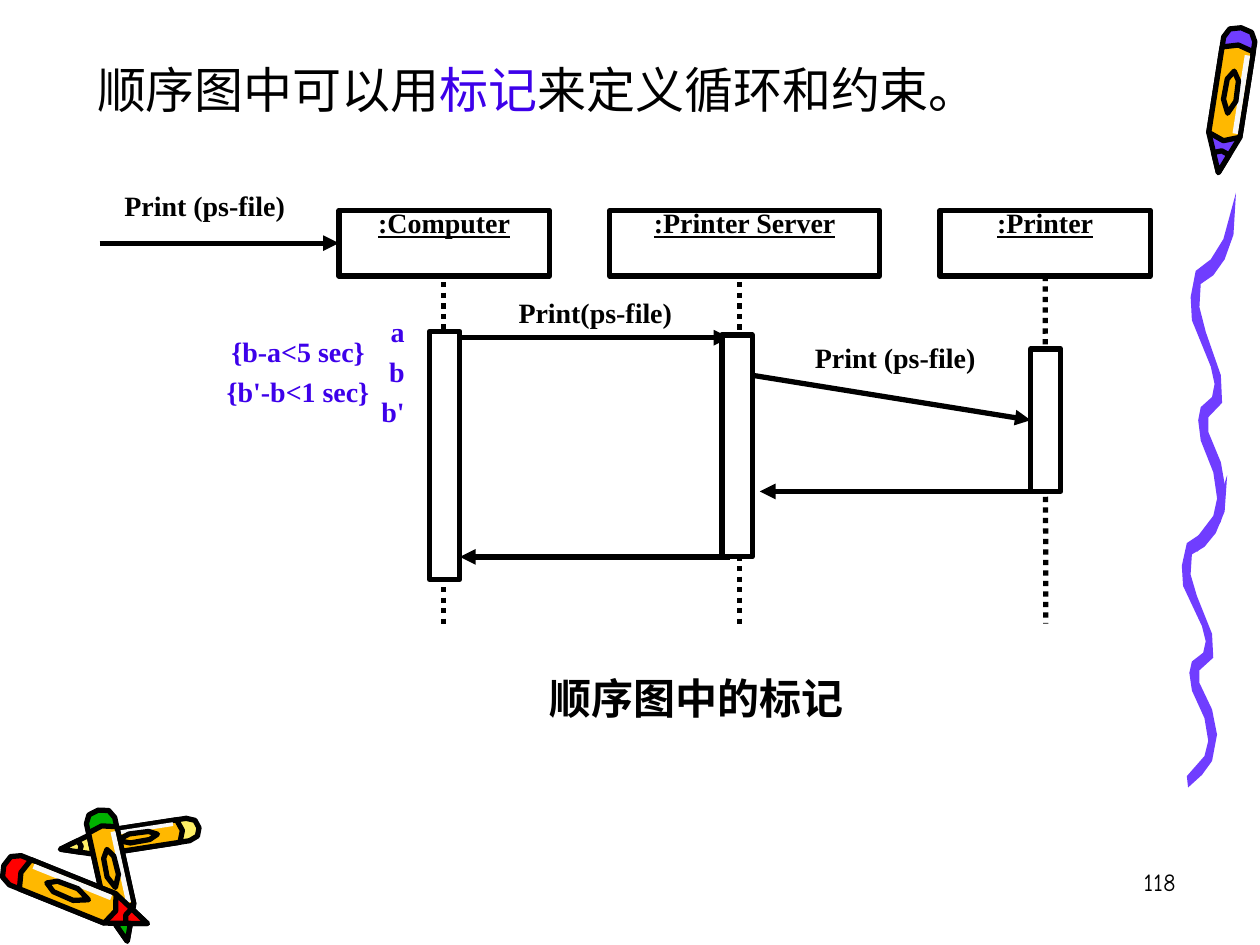
"""Build a slide on marks in a UML sequence diagram."""
import math

import pptx
import pptx.dml.color
import pptx.enum.dml
import pptx.enum.shapes
import pptx.enum.text
import pptx.oxml
import pptx.util
from pptx.util import Inches

ALIGN = pptx.enum.text.PP_ALIGN
ANCHOR = pptx.enum.text.MSO_ANCHOR
BLACK, WHITE, VIOLET = "000000", "FFFFFF", "3D00EA"
GREY, YELLOW, RED, ORANGE, GREEN, PURPLE = "F8F8F8", "FFEF66", "FF0000", "FFB800", "00B200", "703DFF"
DRAWING = "http://schemas.openxmlformats.org/drawingml/2006/main"
LABEL = {"size": pptx.util.Pt(16), "name": "Times New Roman", "bold": True}


def color(value):
    return pptx.dml.color.RGBColor.from_string(value)


def write(shape, lines, formats, ink=BLACK, spacing=0.64, anchor=ANCHOR.TOP):
    frame = shape.text_frame
    frame.word_wrap = True
    frame.vertical_anchor = anchor
    for index, (text, alignment) in enumerate(lines):
        paragraph = frame.add_paragraph() if index else frame.paragraphs[0]
        paragraph.alignment = alignment
        paragraph.line_spacing = spacing
        run = paragraph.add_run()
        run.text = text
        for name, value in formats.items():
            setattr(run.font, name, value)
        run.font.color.rgb = color(ink)


presentation = pptx.Presentation()
presentation.slide_width = Inches(10)
presentation.slide_height = Inches(7.5)
slide = presentation.slides.add_slide(presentation.slide_layouts[1])
title = slide.shapes.title
title.element.getparent().remove(title.element)

# pairs are (share of length from cap to tip, share of width from the axis)
crayon_parts = {
    "case": [(0.02, -0.35), (0, 0), (0.02, 0.35), (0.08, 0.5), (0.74, 0.5), (0.87, 0.25),
             (1, 0), (0.87, -0.25), (0.74, -0.5), (0.08, -0.5)],
    "barrel": [(0.15, -0.5), (0.12, 0), (0.15, 0.5), (0.74, 0.5), (0.78, 0), (0.74, -0.5)],
    "highlight": [(0.18, -0.42), (0.18, -0.25), (0.72, -0.25), (0.72, -0.42)],
    "label": [(0.3, 0), (0.36, 0.18), (0.5, 0.2), (0.59, 0), (0.5, -0.2), (0.36, -0.18)],
    "nib": [(0.87, 0.25), (0.85, 0), (0.87, -0.25), (1, 0)],
}
crayons = [
    (YELLOW, (1.58, 6.57), (0.48, 6.74), -0.18),
    (GREEN, (0.78, 6.43), (1.01, 7.47), 0.23),
    (RED, (0.03, 6.87), (1.17, 7.33), 0.25),
    (PURPLE, (9.85, 0.22), (9.67, 1.37), 0.25),
]
outlines = []
for accent, (cap_x, cap_y), (tip_x, tip_y), width in crayons:
    run_x, run_y = tip_x - cap_x, tip_y - cap_y
    length = math.hypot(run_x, run_y)
    across_x, across_y = -run_y / length * width, run_x / length * width
    fills = {"case": accent, "barrel": ORANGE, "highlight": GREY, "label": ORANGE, "nib": accent}
    for part, pairs in crayon_parts.items():
        points = [(cap_x + along * run_x + across * across_x, cap_y + along * run_y + across * across_y)
                  for along, across in pairs]
        outlines.append((points, fills[part], part != "highlight"))

ribbon_left_edge = [
    (0.36, 0), (0.26, 0.32), (0.16, 0.46), (0.04, 0.54), (0, 0.72), (0.01, 0.88), (0.16, 1.2),
    (0.19, 1.32), (0.17, 1.41), (0.08, 1.48), (0.06, 1.57), (0.08, 1.71), (0.18, 1.93),
    (0.21, 2.11), (0.18, 2.23), (0.04, 2.39), (0.05, 2.48),
]
ribbon_right_edge = [
    (0.16, 2.38), (0.24, 2.27), (0.28, 2.06), (0.24, 1.86), (0.14, 1.65), (0.14, 1.55),
    (0.25, 1.45), (0.24, 1.26), (0.12, 0.96), (0.07, 0.79), (0.08, 0.63), (0.18, 0.57),
    (0.27, 0.46), (0.34, 0.29),
]
for left, top, stretch in ((9.38, 3.77, 1), (9.45, 1.53, 1.15)):
    points = [(left + x, top + y * stretch) for x, y in ribbon_left_edge + ribbon_right_edge]
    outlines.append((points, PURPLE, False))

for points, fill, has_line in outlines:
    corners = [(Inches(x), Inches(y)) for x, y in points]
    builder = slide.shapes.build_freeform(*corners[0])
    builder.add_line_segments(corners[1:], close=True)
    shape = builder.convert_to_shape()
    shape.shadow.inherit = False
    shape.fill.solid()
    shape.fill.fore_color.rgb = color(fill)
    if has_line:
        shape.line.width = pptx.util.Pt(3)
        shape.line.color.rgb = color(BLACK)
    else:
        shape.line.fill.background()

number = slide.shapes.add_textbox(Inches(7.35), Inches(6.83), Inches(2.08), Inches(0.5))
write(number, [("118", ALIGN.RIGHT)], {"size": pptx.util.Pt(14), "name": "Comic Neue"}, spacing=1)

body = slide.placeholders[1]
body.left, body.top, body.width, body.height = Inches(0.42), Inches(0.33), Inches(9.25), Inches(0.92)
body.text_frame.auto_size = pptx.enum.text.MSO_AUTO_SIZE.NONE
paragraph = body.text_frame.paragraphs[0]
properties = paragraph._p.get_or_add_pPr()
properties.set("marL", str(Inches(0.25)))
properties.set("indent", "0")
properties.append(pptx.oxml.parse_xml(f'<a:buNone xmlns:a="{DRAWING}"/>'))
paragraph.line_spacing = 1.2
paragraph.space_before = pptx.util.Pt(0)
for text, ink in (("顺序图中可以用", BLACK), ("标记", VIOLET), ("来定义循环和约束。", BLACK)):
    run = paragraph.add_run()
    run.text = text
    run.font.size = pptx.util.Pt(28)
    run.font.name = "Comic Neue"
    run.font.color.rgb = color(ink)

caption = slide.shapes.add_textbox(Inches(3.86), Inches(5.17), Inches(3.34), Inches(0.79))
write(caption, [("顺序图中的标记", ALIGN.CENTER)], {**LABEL, "size": pptx.util.Pt(24)},
      spacing=0.88, anchor=ANCHOR.MIDDLE)

for text, left, top, width, height, anchor in (
    ("Print (ps-file)", 0.67, 1.53, 1.91, 0.39, ANCHOR.TOP),
    ("Print(ps-file)", 3.89, 2.32, 1.67, 0.39, ANCHOR.MIDDLE),
    ("Print (ps-file)", 6.15, 2.66, 1.91, 0.43, ANCHOR.MIDDLE),
):
    message = slide.shapes.add_textbox(Inches(left), Inches(top), Inches(width), Inches(height))
    write(message, [(text, ALIGN.CENTER)], LABEL, anchor=anchor)

constraints = slide.shapes.add_textbox(Inches(1.42), Inches(2.54), Inches(1.89), Inches(1.21))
write(constraints, [
    ("a", ALIGN.RIGHT), ("{b-a<5 sec}", ALIGN.CENTER), ("b", ALIGN.RIGHT),
    ("{b'-b<1 sec}", ALIGN.CENTER), ("b'", ALIGN.RIGHT),
], LABEL, ink=VIOLET, spacing=0.6)

lines = {}
for name, start_x, start_y, end_x, end_y in (
    ("request", 0.79, 1.93, 2.69, 1.93),
    ("call server", 3.65, 2.68, 5.79, 2.68),
    ("server return", 5.79, 4.42, 3.65, 4.42),
    ("call printer", 5.98, 2.98, 8.19, 3.32),
    ("printer return", 8.18, 3.9, 6.03, 3.9),
    (":Computer", 3.52, 2.24, 3.52, 4.99),
    (":Printer Server", 5.87, 2.24, 5.87, 4.96),
    (":Printer", 8.3, 2.19, 8.3, 4.95),
):
    connector = slide.shapes.add_connector(
        pptx.enum.shapes.MSO_CONNECTOR.STRAIGHT,
        Inches(start_x), Inches(start_y), Inches(end_x), Inches(end_y))
    connector.line.width = pptx.util.Pt(3)
    connector.line.color.rgb = color(BLACK)
    if name.startswith(":"):
        connector.line.dash_style = pptx.enum.dml.MSO_LINE.ROUND_DOT
    else:
        connector.line._get_or_add_ln().append(
            pptx.oxml.parse_xml(f'<a:tailEnd xmlns:a="{DRAWING}" type="triangle"/>'))
    connector._element.spPr.append(pptx.oxml.parse_xml(f'<a:effectLst xmlns:a="{DRAWING}"/>'))
    lines[name] = connector

rectangles = {}
for name, left, top, width, height in (
    (":Computer", 2.69, 1.67, 1.67, 0.52),
    (":Printer Server", 4.84, 1.67, 2.14, 0.52),
    (":Printer", 7.46, 1.67, 1.67, 0.52),
    ("computer activation", 3.41, 2.63, 0.24, 1.97),
    ("server activation", 5.73, 2.66, 0.24, 1.76),
    ("printer activation", 8.18, 2.77, 0.24, 1.13),
):
    shape = slide.shapes.add_shape(
        pptx.enum.shapes.MSO_SHAPE.RECTANGLE, Inches(left), Inches(top), Inches(width), Inches(height))
    shape.shadow.inherit = False
    shape.line.width = pptx.util.Pt(3)
    shape.line.color.rgb = color(BLACK)
    if name.startswith(":"):
        shape.fill.background()
        write(shape, [(name, ALIGN.CENTER)], {**LABEL, "underline": True})
    else:
        shape.fill.solid()
        shape.fill.fore_color.rgb = color(WHITE)
    rectangles[name] = shape

lines["request"].end_connect(rectangles[":Computer"], 1)
lines["call printer"].end_connect(rectangles["printer activation"], 1)
lines[":Printer"].begin_connect(rectangles[":Printer"], 2)

presentation.save("out.pptx")
